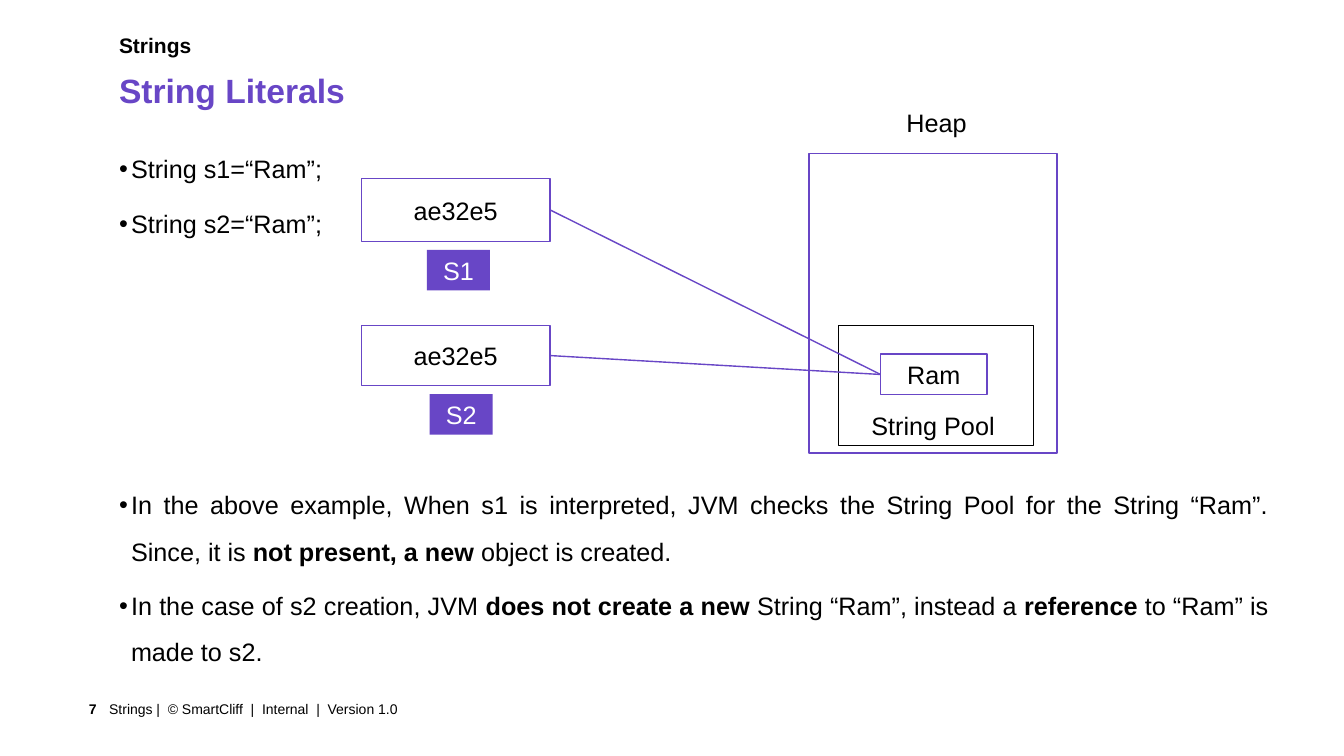
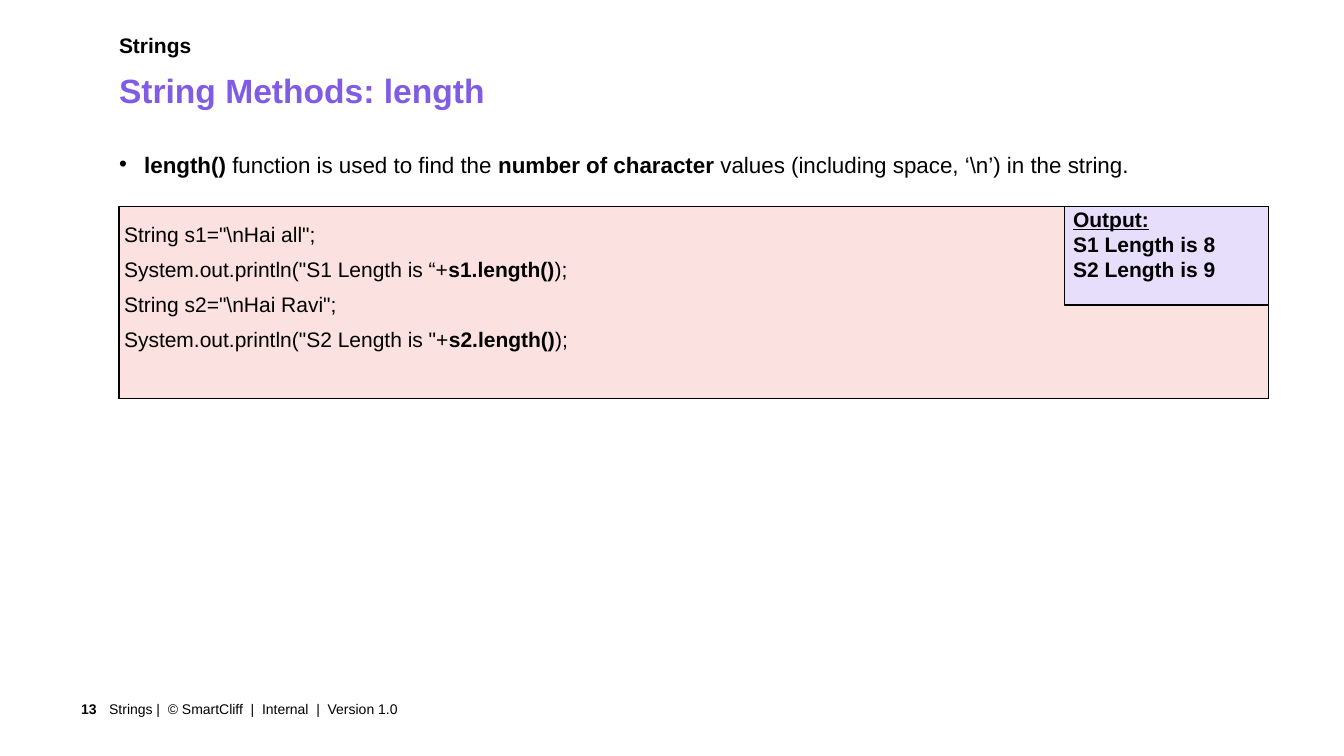
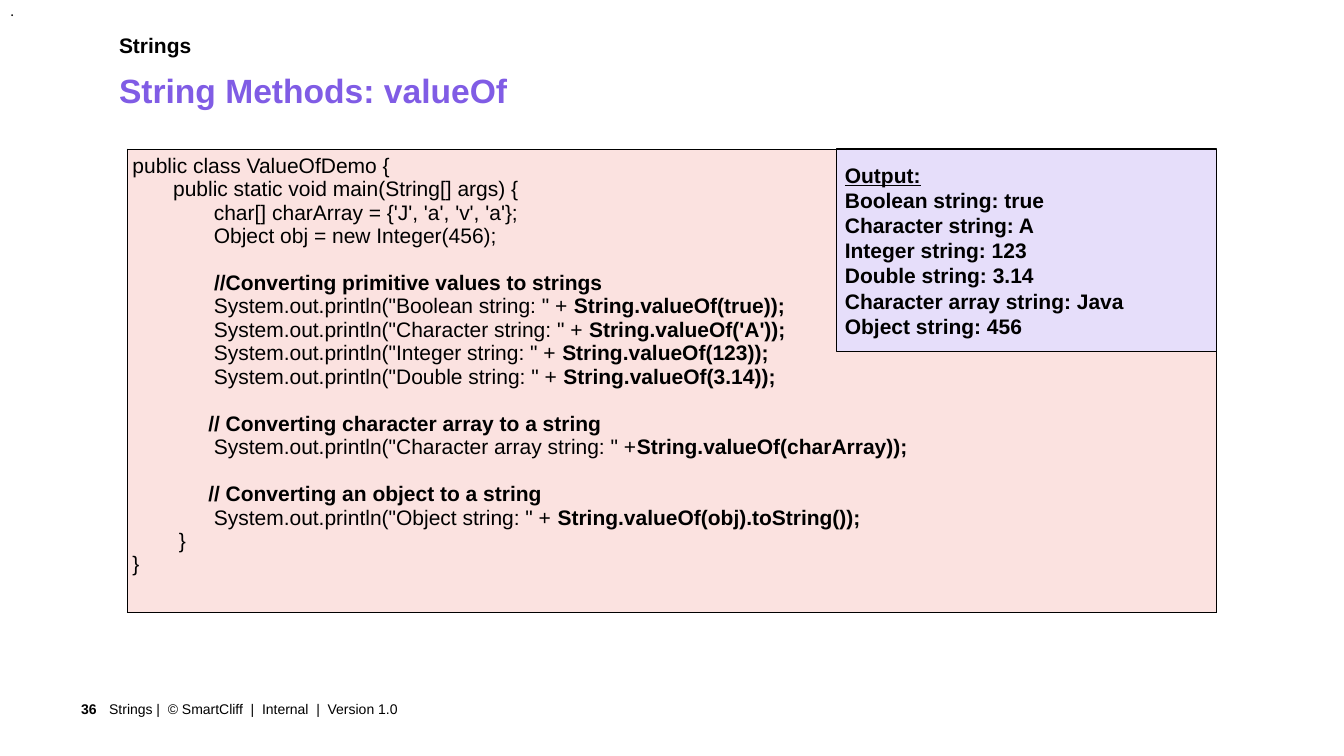
from collections import namedtuple

from lxml.etree import SubElement
from pptx import Presentation
from pptx.dml.color import RGBColor
from pptx.enum.shapes import MSO_CONNECTOR, MSO_SHAPE
from pptx.enum.text import MSO_ANCHOR as Anchor, PP_ALIGN as Align
from pptx.oxml.ns import qn
from pptx.util import Pt

BLACK = RGBColor(0, 0, 0)
WHITE = RGBColor(255, 255, 255)
PURPLE = RGBColor(0x68, 0x46, 0xC6)
VIOLET = RGBColor(0x80, 0x5C, 0xE5)
LILAC = RGBColor(0xE6, 0xDE, 0xFA)
PINK = RGBColor(0xFB, 0xE2, 0xE0)
NEAR_BLACK = RGBColor(0x0D, 0x0D, 0x0D)

FONT = "Arial"
LINE_FACTOR = 1.2
FOOTER = "Strings |  © SmartCliff  |  Internal  |  Version 1.0"

Box = namedtuple("Box", "left top width height")

LITERALS = ["String s1=“Ram”;", "String s2=“Ram”;"]
EXPLANATION = [
    "In the above example, When s1 is interpreted, JVM checks the String Pool for the "
    "String “Ram”. Since, it is **not present, a new** object is created.",
    "In the case of s2 creation, JVM **does not create a new** String “Ram”, "
    "instead a **reference** to “Ram” is made to s2.",
]
LENGTH_NOTE = [
    "**length()** function is used to find the **number of character** values "
    "(including space, ‘\\n’) in the string.",
]
LENGTH_CODE = [
    r'String s1="\nHai all";',
    'System.out.println("S1 Length is “+**s1.length()**);',
    r'String s2="\nHai Ravi";',
    'System.out.println("S2 Length is "+**s2.length()**);',
]
LENGTH_OUTPUT = ["Output:", "S1 Length is 8", "S2 Length is 9"]
VALUE_CODE = [
    "public class ValueOfDemo {",
    "       public static void main(String[] args) {",
    "              char[] charArray = {'J', 'a', 'v', 'a'};",
    "              Object obj = new Integer(456);",
    "              **//Converting primitive values to strings**",
    '              System.out.println("Boolean string: " + **String.valueOf(true));**',
    '              System.out.println("Character string: " + **String.valueOf(\'A\'));**',
    '              System.out.println("Integer string: " + **String.valueOf(123));**',
    '              System.out.println("Double string: " + **String.valueOf(3.14));**',
    "             **// Converting character array to a string**",
    '              System.out.println("Character array string: " +**String.valueOf(charArray));**',
    "             **// Converting an object to a string**",
    '              System.out.println("Object string: " + **String.valueOf(obj).toString());**',
    "        }",
    "}",
]
VALUE_OUTPUT = [
    "Output:", "Boolean string: true", "Character string: A", "Integer string: 123",
    "Double string: 3.14", "Character array string: Java", "Object string: 456",
]


def points(box):
    return [Pt(value) for value in box]


def add_bullet(paragraph, indent):
    properties = paragraph._p.get_or_add_pPr()
    properties.set("marL", str(Pt(indent)))
    properties.set("indent", str(-Pt(indent)))
    SubElement(properties, qn("a:buFont")).set("typeface", FONT)
    SubElement(properties, qn("a:buChar")).set("char", "•")


def write(frame, lines, size, color=BLACK, bold=False, align=Align.LEFT, pitch=None,
          bullet=0, gap=0, name=FONT):
    """Fill a text frame; **double stars** mark bold runs, pitch is the line height."""
    for index, line in enumerate(lines):
        paragraph = frame.paragraphs[0] if index == 0 else frame.add_paragraph()
        if bullet:
            add_bullet(paragraph, bullet)
        paragraph.alignment = align
        paragraph.line_spacing = Pt(pitch or round(size * LINE_FACTOR))
        paragraph.space_before = Pt(gap if index else 0)
        font = paragraph.font
        font.name, font.size, font.bold = name, Pt(size), bold
        font.color.rgb = color
        for part, text in enumerate(line.split("**")):
            if text:
                run = paragraph.add_run()
                run.text = text
                if part % 2:
                    run.font.bold = True


def set_frame(frame, anchor, insets):
    frame.word_wrap = True
    frame.vertical_anchor = anchor
    (frame.margin_left, frame.margin_top,
     frame.margin_right, frame.margin_bottom) = points(insets)


def add_text(slide, box, lines, size, anchor=Anchor.TOP, **style):
    frame = slide.shapes.add_textbox(*points(box)).text_frame
    set_frame(frame, anchor, (0, 0, 0, 0))
    write(frame, lines, size, **style)


def add_box(slide, box, lines=(), size=18, fill=None, line=None, line_width=1,
            anchor=Anchor.MIDDLE, insets=(6, 6, 6, 6), **style):
    shape = slide.shapes.add_shape(MSO_SHAPE.RECTANGLE, *points(box))
    shape.shadow.inherit = False
    if fill is None:
        shape.fill.background()
    else:
        shape.fill.solid()
        shape.fill.fore_color.rgb = fill
    if line is None:
        shape.line.fill.background()
    else:
        shape.line.color.rgb = line
        shape.line.width = Pt(line_width)
    set_frame(shape.text_frame, anchor, insets)
    write(shape.text_frame, lines, size, **style)
    return shape


def add_link(slide, source, target):
    """Join the right side of one box to the left side of another."""
    link = slide.shapes.add_connector(MSO_CONNECTOR.STRAIGHT, 0, 0, 0, 0)
    link.begin_connect(source, 3)
    link.end_connect(target, 1)
    link.line.color.rgb = PURPLE
    link.line.width = Pt(1)
    SubElement(link._element.spPr, qn("a:effectLst"))


def add_bullets(slide, box, lines, size, pitch, indent):
    add_text(slide, box, lines, size, align=Align.JUSTIFY, pitch=pitch,
             bullet=indent, gap=6)


def start_slide(presentation, title, number, title_color):
    slide = presentation.slides.add_slide(presentation.slide_layouts[6])
    # Heading
    add_text(slide, Box(85, 23, 860, 29), ["Strings"], 15, bold=True)
    add_text(slide, Box(85, 49.5, 852, 30), [title], 24, color=title_color, bold=True)
    # Footer
    add_text(slide, Box(30, 495, 39, 23), [str(number)], 10, bold=True,
             align=Align.RIGHT, anchor=Anchor.MIDDLE)
    add_text(slide, Box(78, 495, 674, 23), [FOOTER], 10, anchor=Anchor.MIDDLE)
    return slide


def add_memory_diagram(slide, area):
    def inside(left, top, width, height):
        return Box(area.left + left, area.top + top, width, height)

    outline = dict(line=PURPLE, align=Align.CENTER)
    # Heap with its string pool
    add_text(slide, inside(311, 0, 200, 30), ["Heap"], 18, align=Align.CENTER,
             anchor=Anchor.MIDDLE)
    add_box(slide, inside(320, 37.5, 177, 214), ["String Pool"],
            anchor=Anchor.BOTTOM, insets=(6, 6, 6, 9), **outline)
    add_box(slide, inside(341, 160.5, 139, 86), line=BLACK, line_width=0.75)
    pooled = add_box(slide, inside(371, 181, 76, 29), ["Ram"], **outline)
    # References with their names
    for name, top, height, label_left in (("S1", 55.5, 45, 47), ("S2", 160.5, 43, 49)):
        reference = add_box(slide, inside(0, top, 135, height), ["ae32e5"], **outline)
        add_box(slide, inside(label_left, top + height + 6, 45, 29), [name],
                fill=PURPLE, color=WHITE, align=Align.CENTER)
        add_link(slide, reference, pooled)


def add_code_panel(slide, area, code, pitch, output, output_size, **output_style):
    # Code in a one-cell table
    table = slide.shapes.add_table(1, 1, *points(area)).table
    table.first_row = table.horz_banding = False
    cell = table.cell(0, 0)
    cell.margin_left = cell.margin_right = cell.margin_top = cell.margin_bottom = Pt(3.6)
    properties = cell._tc.get_or_add_tcPr()
    for side in ("lnL", "lnR", "lnT", "lnB"):
        border = SubElement(properties, qn("a:" + side), w=str(Pt(1)))
        fill = SubElement(border, qn("a:solidFill"))
        SubElement(fill, qn("a:srgbClr")).set("val", str(BLACK))
    cell.fill.solid()
    cell.fill.fore_color.rgb = PINK
    write(cell.text_frame, code, 15, pitch=pitch)
    for paragraph in cell.text_frame.paragraphs:
        if paragraph.text.strip().startswith("//"):
            paragraph.space_before = Pt(pitch)
    # Output in the upper right corner
    width, height = output_size
    corner = Box(area.left + area.width - width, area.top, width, height)
    panel = add_box(slide, corner, output, 15, fill=LILAC, line=BLACK, bold=True,
                    **output_style)
    panel.text_frame.paragraphs[0].font.underline = True


def literals_slide(presentation):
    slide = start_slide(presentation, "String Literals", 7, PURPLE)
    add_bullets(slide, Box(85, 98.5, 170, 74), LITERALS, 18, 32.9, 8.6)
    add_memory_diagram(slide, Box(258, 72, 511, 252))
    add_bullets(slide, Box(85, 338.5, 821, 146), EXPLANATION, 18, 32.9, 8.6)


def length_slide(presentation):
    slide = start_slide(presentation, "String Methods: length", 13, VIOLET)
    add_bullets(slide, Box(85, 98.5, 821, 36), LENGTH_NOTE, 16, 28.5, 18)
    add_code_panel(slide, Box(85, 147.5, 821, 137), LENGTH_CODE, 25.1, LENGTH_OUTPUT,
                   (145.5, 70.5), anchor=Anchor.TOP, insets=(6, 0, 6, 6))


def value_of_slide(presentation):
    slide = start_slide(presentation, "String Methods: valueOf", 36, VIOLET)
    add_text(slide, Box(7.2, 0, 10, 15), ["."], 12, color=NEAR_BLACK, name="Roboto")
    add_code_panel(slide, Box(91, 106.5, 778, 331), VALUE_CODE, 16.75, VALUE_OUTPUT,
                   (271.5, 144.5))


def main():
    presentation = Presentation()
    presentation.slide_width, presentation.slide_height = Pt(960), Pt(540)
    literals_slide(presentation)
    length_slide(presentation)
    value_of_slide(presentation)
    presentation.save("out.pptx")


if __name__ == "__main__":
    main()
